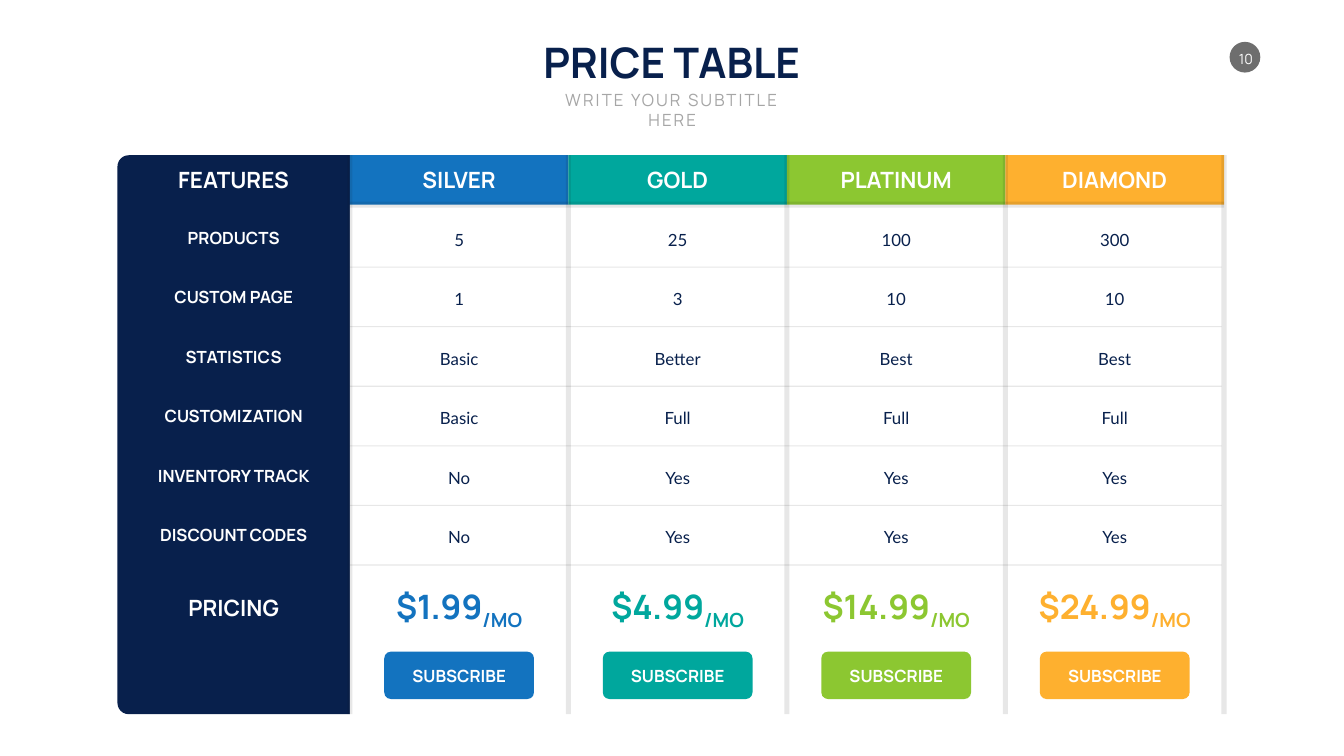
from dataclasses import dataclass
from lxml.etree import SubElement
from pptx import Presentation
from pptx.dml.color import RGBColor
from pptx.enum.shapes import MSO_CONNECTOR, MSO_SHAPE
from pptx.enum.text import MSO_ANCHOR, PP_ALIGN
from pptx.oxml.ns import qn
from pptx.util import Inches, Pt


@dataclass(frozen=True)
class Theme:
    navy: str = "08204C"
    white: str = "FFFFFF"
    gray: str = "A6A6A6"
    badge: str = "6E6E6E"
    shade: str = "161616"
    head: str = "Manrope"
    body: str = "Lato"
    title: int = 60
    price: int = 48
    large: int = 32
    text: int = 24
    small: int = 20


T = Theme()
PLANS = [
    ("SILVER", "1373BF", "$1.99"),
    ("GOLD", "00A79D", "$4.99"),
    ("PLATINUM", "8CC731", "$14.99"),
    ("DIAMOND", "FEB02F", "$24.99"),
]
ROWS = [
    ("PRODUCTS", "5", "25", "100", "300"),
    ("CUSTOM PAGE", "1", "3", "10", "10"),
    ("STATISTICS", "Basic", "Better", "Best", "Best"),
    ("CUSTOMIZATION", "Basic", "Full", "Full", "Full"),
    ("INVENTORY TRACK", "No", "Yes", "Yes", "Yes"),
    ("DISCOUNT CODES", "No", "Yes", "Yes", "Yes"),
]
LEFT, TOP, BASE = 2.33, 3.08, 14.17
SIDE, COL = 4.61, 4.335
GRID, WIDE, TALL = LEFT + SIDE, COL * len(PLANS), BASE - TOP
HIGH = [0.98, 1.25] + [1.18] * 5 + [1.72]

deck = Presentation()
deck.slide_width, deck.slide_height = Inches(26.66), Inches(15)
slide = deck.slides.add_slide(deck.slide_layouts[6])


def write(frame, words, size, color, bold=False, face=T.head):
    para = frame.paragraphs[0]
    para.alignment = PP_ALIGN.CENTER
    for word in words:
        para.add_run().text = word
    font = para.font
    font.name, font.size, font.bold = face, Pt(size), bold
    font.color.rgb = RGBColor.from_string(color)
    return para


def fade(shape, alpha):
    tint = shape._element.spPr.find(".//" + qn("a:srgbClr"))
    SubElement(tint, qn("a:alpha")).set("val", str(alpha * 1000))


def draw(kind, x, y, w, h, color, alpha=None):
    shape = slide.shapes.add_shape(kind, Inches(x), Inches(y), Inches(w), Inches(h))
    shape.shadow.inherit = False
    shape.fill.solid()
    shape.fill.fore_color.rgb = RGBColor.from_string(color)
    shape.line.fill.background()
    if alpha:
        fade(shape, alpha)
    return shape


def rule(y):
    line = slide.shapes.add_connector(MSO_CONNECTOR.STRAIGHT, Inches(GRID), Inches(y),
                                      Inches(GRID + WIDE - 0.05), Inches(y))
    line.line.width = Pt(1.5)
    line.line.color.rgb = RGBColor.from_string(T.shade)
    fade(line, 10)
    SubElement(line._element.spPr, qn("a:effectLst"))


def label(x, y, w, h, words, size, color, bold=False):
    frame = slide.shapes.add_textbox(Inches(x), Inches(y), Inches(w), Inches(h)).text_frame
    frame.word_wrap = True
    return write(frame, [words], size, color, bold)


badge = draw(MSO_SHAPE.OVAL, 24.39, 0.83, 0.61, 0.61, T.badge)
frame = badge.text_frame
frame.margin_left, frame.margin_top = Inches(0.04), Inches(0.05)
frame.margin_right = frame.margin_bottom = 0
frame.word_wrap = False
frame.vertical_anchor = MSO_ANCHOR.MIDDLE
write(frame, ["10"], T.small, T.white)

label(10.66, 0.67, 5.33, 1.11, "PRICE TABLE", T.title, T.navy, True)
para = label(10.62, 1.73, 5.43, 0.5, "WRITE YOUR SUBTITLE HERE", T.text, T.gray)
para.runs[0]._r.get_or_add_rPr().set("spc", "300")

panel = draw(MSO_SHAPE.ROUND_2_SAME_RECTANGLE, LEFT + (SIDE - TALL) / 2,
             TOP + (TALL - SIDE) / 2, TALL, SIDE, T.navy)
panel.rotation = 270
panel.adjustments[0], panel.adjustments[1] = 0.048, 0

draw(MSO_SHAPE.RECTANGLE, GRID, TOP + HIGH[0], WIDE, TALL - HIGH[0], T.white)
for j, (name, color, price) in enumerate(PLANS):
    draw(MSO_SHAPE.RECTANGLE, GRID + COL * j, TOP, COL, HIGH[0], color)
for i in range(len(ROWS)):
    rule(5.3 + 1.182 * i)

item = slide.shapes.add_table(len(HIGH), len(PLANS) + 1, Inches(LEFT), Inches(TOP),
                              Inches(SIDE + WIDE), Inches(sum(HIGH)))
table = item.table
table.horz_banding = False
style = table._tbl.tblPr.find(qn("a:tableStyleId"))
style.text = "{2D5ABB26-0587-4C30-8999-92F81FD0307C}"
for i, high in enumerate(HIGH):
    table.rows[i].height = Inches(high)
for j, column in enumerate(table.columns):
    column.width = Inches(COL if j else SIDE)
for cell in table.iter_cells():
    cell.vertical_anchor = MSO_ANCHOR.MIDDLE
    cell.fill.background()
for cell in table.rows[1].cells:
    cell.margin_top = Inches(0.11)

last = len(HIGH) - 1
for i, name in ((0, "FEATURES"), (last, "PRICING")):
    write(table.cell(i, 0).text_frame, [name], T.large, T.white, True)
for i, (name, *values) in enumerate(ROWS, 1):
    write(table.cell(i, 0).text_frame, [name], T.text, T.white, True)
    for j, value in enumerate(values, 1):
        para = write(table.cell(i, j).text_frame, [value], T.text, T.navy, face=T.body)
        para.line_spacing = Pt(35)
for j, (name, color, price) in enumerate(PLANS, 1):
    write(table.cell(0, j).text_frame, [name], T.large, T.white, True)
    para = write(table.cell(last, j).text_frame, [price, "/MO"], T.price, color, True)
    para.runs[1]._r.get_or_add_rPr().set("baseline", "-25000")

    x = GRID + COL * (j - 1) + (COL - 2.97) / 2
    button = draw(MSO_SHAPE.ROUNDED_RECTANGLE, x, 12.93, 2.97, 0.94, color)
    button.adjustments[0] = 0.14
    button.text_frame.vertical_anchor = MSO_ANCHOR.MIDDLE
    write(button.text_frame, ["SUBSCRIBE"], T.text, T.white, True)

for j in range(len(PLANS) + 1):
    draw(MSO_SHAPE.RECTANGLE, GRID + COL * j - 0.05, TOP, 0.1, TALL, T.shade, 10)
draw(MSO_SHAPE.RECTANGLE, GRID, 4, WIDE, 0.12, T.shade, 10)

deck.save("out.pptx")
